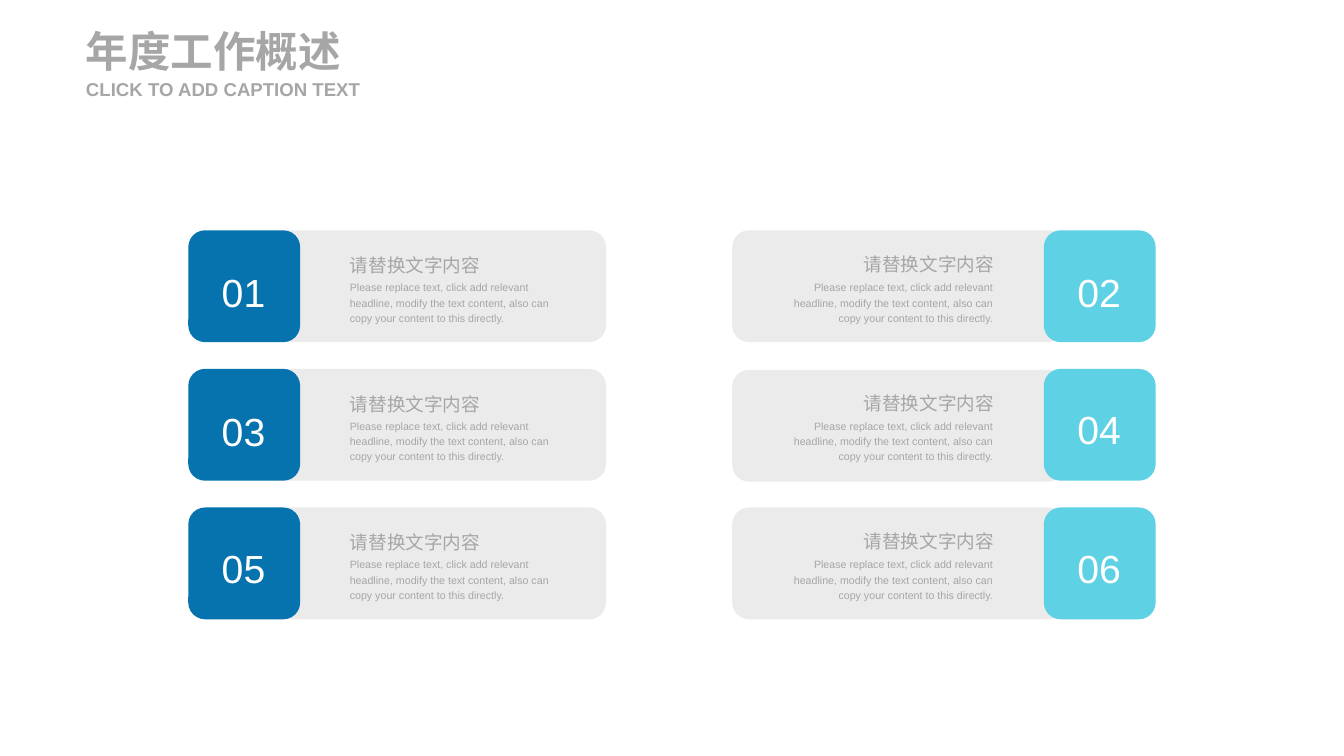
import dataclasses

import lxml.etree
import pptx
import pptx.dml.color
import pptx.enum.shapes
import pptx.enum.text
import pptx.oxml.ns
import pptx.util

Inches = pptx.util.Inches
Align = pptx.enum.text.PP_ALIGN


@dataclasses.dataclass(frozen=True)
class Theme:
    font: str = "Arial"
    blue: str = "0673AE"
    cyan: str = "5ED1E5"
    bar: str = "777777"
    bar_opacity: int = 14
    grey: str = "A6A6A6"
    white: str = "FFFFFF"
    title_size: float = 32
    heading_size: float = 14
    body_size: float = 8
    number_size: float = 29.5


@dataclasses.dataclass(frozen=True)
class Box:
    left: float
    top: float
    width: float
    height: float

    def lengths(self) -> list[int]:
        return [Inches(value) for value in dataclasses.astuple(self)]


@dataclasses.dataclass(frozen=True)
class Column:
    color: str
    tile_left: float
    bar_left: float
    heading_left: float
    heading_width: float
    heading_offset: float
    body_left: float
    alignment: Align


@dataclasses.dataclass(frozen=True)
class Card:
    number: str
    column: Column
    row: int
    number_offset: float = 0.31
    bar_offset: float = 0


THEME = Theme()
LEFT = Column(THEME.blue, 1.97, 2.86, 3.66, 1.63, 0.21, 3.66, Align.LEFT)
RIGHT = Column(THEME.cyan, 10.92, 7.66, 8.75, 1.65, 0.2, 8.29, Align.RIGHT)
CARDS = [
    Card("01", LEFT, 0, 0.32),
    Card("02", RIGHT, 0, 0.32),
    Card("03", LEFT, 1, 0.33),
    Card("04", RIGHT, 1, bar_offset=0.01),
    Card("05", LEFT, 2),
    Card("06", RIGHT, 2),
]
FIRST_TOP, ROW_STEP = 2.41, 1.45
TILE_SIZE, BAR_WIDTH = 1.17, 3.48
HEADING = "请替换文字内容"
BODY = (
    "Please replace text, click add relevant headline, modify the text content, "
    "also can copy your content to this directly."
)


def add_panel(slide, box: Box, color: str, opacity: int = 100) -> None:
    shape = slide.shapes.add_shape(
        pptx.enum.shapes.MSO_SHAPE.ROUNDED_RECTANGLE, *box.lengths()
    )
    shape.adjustments[0] = 0.15
    shape.shadow.inherit = False
    shape.line.fill.background()
    shape.fill.solid()
    shape.fill.fore_color.rgb = pptx.dml.color.RGBColor.from_string(color)
    if opacity < 100:
        qualified = pptx.oxml.ns.qn
        fill_color = shape.fill._xPr.find(".//" + qualified("a:srgbClr"))
        alpha = lxml.etree.SubElement(fill_color, qualified("a:alpha"))
        alpha.set("val", str(opacity * 1000))


def add_text(
    slide,
    box: Box,
    text: str,
    size: float,
    color: str = THEME.grey,
    alignment: Align = Align.LEFT,
    bold: bool = False,
    wrap: bool = True,
    line_spacing: float = 1.2,
) -> None:
    frame = slide.shapes.add_textbox(*box.lengths()).text_frame
    frame.margin_left = frame.margin_right = 0
    frame.margin_top = frame.margin_bottom = 0
    frame.vertical_anchor = pptx.enum.text.MSO_ANCHOR.MIDDLE
    frame.auto_size = pptx.enum.text.MSO_AUTO_SIZE.SHAPE_TO_FIT_TEXT
    frame.word_wrap = wrap
    paragraph = frame.paragraphs[0]
    paragraph.text = text
    paragraph.alignment = alignment
    paragraph.line_spacing = line_spacing
    paragraph.font.name = THEME.font
    paragraph.font.size = pptx.util.Pt(size)
    paragraph.font.bold = bold
    paragraph.font.color.rgb = pptx.dml.color.RGBColor.from_string(color)


def add_card(slide, card: Card) -> None:
    column = card.column
    top = FIRST_TOP + card.row * ROW_STEP
    bar = Box(column.bar_left, top + card.bar_offset, BAR_WIDTH, TILE_SIZE)
    tile = Box(column.tile_left, top, TILE_SIZE, TILE_SIZE)
    number = Box(column.tile_left + 0.35, top + card.number_offset, 0.46, 0.54)
    heading = Box(
        column.heading_left, top + column.heading_offset, column.heading_width, 0.26
    )
    body = Box(column.body_left, top + 0.51, 2.1, 0.47)
    add_panel(slide, bar, THEME.bar, THEME.bar_opacity)
    add_panel(slide, tile, column.color)
    add_text(slide, number, card.number, THEME.number_size, THEME.white, wrap=False)
    add_text(slide, heading, HEADING, THEME.heading_size, alignment=column.alignment)
    add_text(slide, body, BODY, THEME.body_size, alignment=column.alignment)


def main() -> None:
    """Build the annual work overview slide with six numbered cards."""
    presentation = pptx.Presentation()
    presentation.slide_width = Inches(14.06)
    presentation.slide_height = Inches(7.91)
    slide = presentation.slides.add_slide(presentation.slide_layouts[6])
    for card in CARDS:
        add_card(slide, card)
    for box, text, size in (
        (Box(0.9, 0.26, 3.07, 0.54), "年度工作概述", THEME.title_size),
        (Box(0.9, 0.81, 3.07, 0.24), "CLICK TO ADD CAPTION TEXT", THEME.heading_size),
    ):
        add_text(slide, box, text, size, bold=True, line_spacing=1.0)
    presentation.save("out.pptx")


if __name__ == "__main__":
    main()
